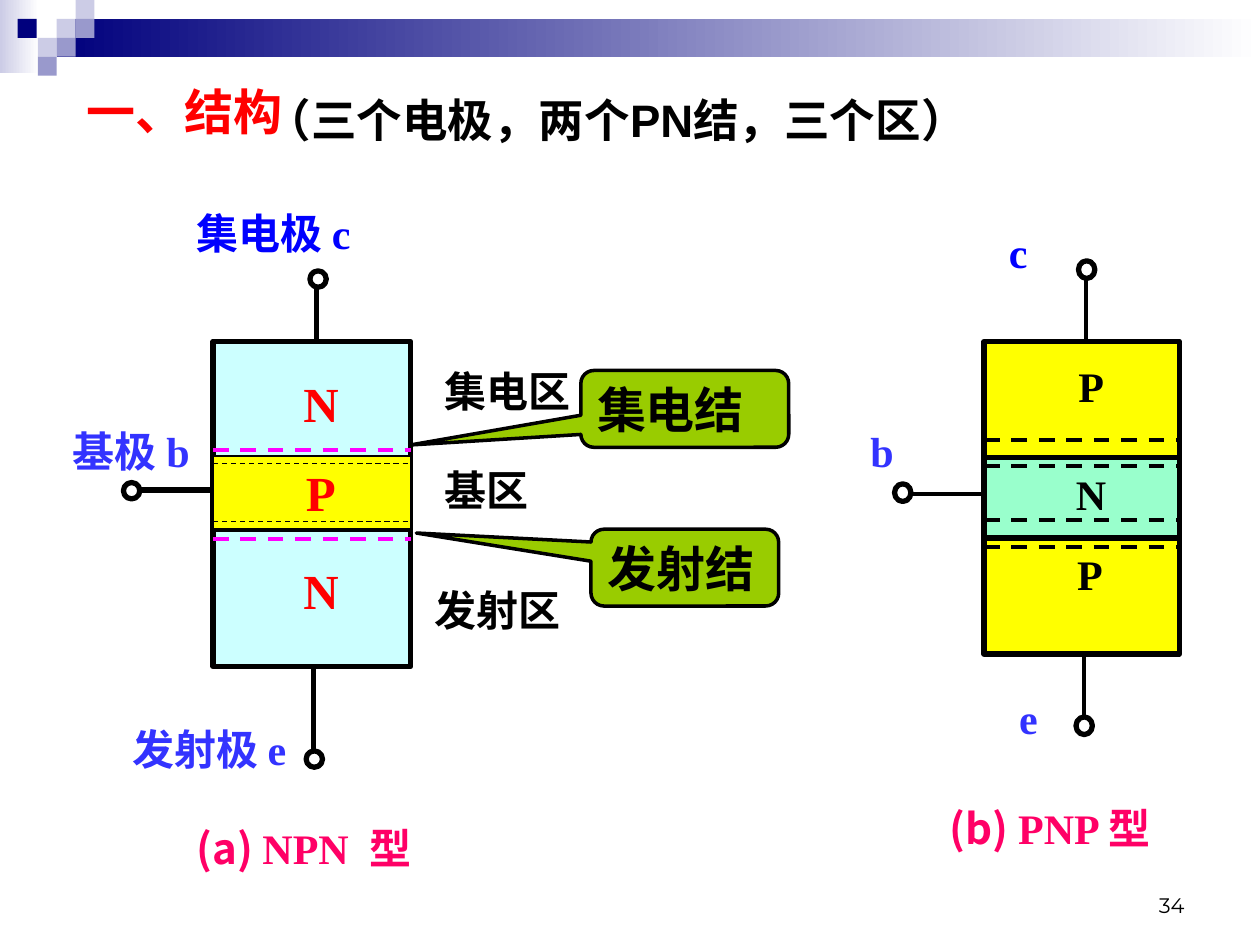
from dataclasses import dataclass
from typing import NamedTuple

from lxml import etree
from pptx import Presentation
from pptx import util as u
from pptx.dml.color import RGBColor
from pptx.enum import dml, shapes, text
from pptx.oxml.ns import qn

SHAPE = shapes.MSO_SHAPE
MIDDLE, TOP, BOTTOM = (text.MSO_ANCHOR.MIDDLE, text.MSO_ANCHOR.TOP,
                       text.MSO_ANCHOR.BOTTOM)


@dataclass(frozen=True)
class Theme:
    black: str = "000000"
    white: str = "FFFFFF"
    navy: str = "00007D"
    lilac: str = "CCCCE6"
    violet: str = "9999CC"
    red: str = "FF0000"
    blue: str = "0000FF"
    soft_blue: str = "3333FF"
    pink: str = "FF0066"
    magenta: str = "FF00FF"
    cyan: str = "CCFFFF"
    yellow: str = "FFFF00"
    mint: str = "99FFCC"
    green: str = "99CC00"
    serif: str = "Times New Roman"
    sans: str = "Arial"
    cjk: str = "Noto Sans CJK SC"
    number_font: str = "Montserrat"
    large: float = 28
    subtitle: float = 26
    body: float = 24
    small: float = 12
    thick: float = 3
    medium: float = 2.25
    thin: float = 0.75


T = Theme()


class Box(NamedTuple):
    x: float
    y: float
    w: float
    h: float


class Label(NamedTuple):
    words: str
    box: Box
    color: str = T.black
    size: float = T.body


class Line(NamedTuple):
    x1: float
    y1: float
    x2: float
    y2: float
    width: float = T.medium
    color: str = T.black
    dashed: bool = False


class Region(NamedTuple):
    box: Box
    fill: str
    width: float = T.thick


class Lead(NamedTuple):
    line: Line
    ring: Box


class Callout(NamedTuple):
    words: str
    box: Box
    tip: tuple


def inches(box: Box) -> list:
    return [u.Inches(v) for v in box]


def add_run(p, words: str, color: str, size: float, font: str = T.serif,
            bold: bool = True) -> None:
    r = p.add_run()
    r.text = words
    for name, value in dict(size=u.Pt(size), bold=bold, name=font).items():
        setattr(r.font, name, value)
    r.font.color.rgb = RGBColor.from_string(color)
    etree.SubElement(r.font._element, qn("a:ea")).set("typeface", T.cjk)


def set_frame(sp, anchor=MIDDLE, wrap: bool = True,
              align=text.PP_ALIGN.LEFT):
    tf = sp.text_frame
    fmt = dict(word_wrap=wrap, vertical_anchor=anchor,
               margin_left=u.Inches(0.1), margin_right=u.Inches(0.1),
               margin_top=u.Inches(0.05), margin_bottom=u.Inches(0.05))
    for name, value in fmt.items():
        setattr(tf, name, value)
    p = tf.paragraphs[0]
    p.alignment = align
    return p


def add_label(s, label: Label) -> None:
    sp = s.shapes.add_textbox(*inches(label.box))
    add_run(set_frame(sp), label.words, label.color, label.size)


def add_block(s, kind, box: Box, fill: str, width: float = 0):
    sp = s.shapes.add_shape(kind, *inches(box))
    sp.shadow.inherit = False
    sp.fill.solid()
    sp.fill.fore_color.rgb = RGBColor.from_string(fill)
    if width:
        sp.line.color.rgb = RGBColor.from_string(T.black)
        sp.line.width = u.Pt(width)
    else:
        sp.line.fill.background()
    return sp


def add_gradient(s, box: Box, start: str) -> None:
    sp = add_block(s, SHAPE.RECTANGLE, box, start)
    sp.fill.gradient()
    sp.fill.gradient_angle = 0
    for stop, color, at in zip(sp.fill.gradient_stops, (start, T.white), (0, 1)):
        stop.color.rgb = RGBColor.from_string(color)
        stop.position = at


def add_line(s, line: Line) -> None:
    ends = [u.Inches(v) for v in line[:4]]
    sp = s.shapes.add_connector(shapes.MSO_CONNECTOR.STRAIGHT, *ends)
    sp.line.color.rgb = RGBColor.from_string(line.color)
    sp.line.width = u.Pt(line.width)
    if line.dashed:
        sp.line.dash_style = dml.MSO_LINE.DASH
    etree.SubElement(sp._element.spPr, qn("a:effectLst"))


def add_transistor(s, regions: list, lines: list, leads: list) -> None:
    for region in regions:
        add_block(s, SHAPE.RECTANGLE, *region)
    for line in lines:
        add_line(s, line)
    for lead in leads:
        add_line(s, lead.line)
        add_block(s, SHAPE.OVAL, lead.ring, T.white, T.thick)


def add_callout(s, c: Callout) -> None:
    sp = add_block(s, SHAPE.ROUNDED_RECTANGULAR_CALLOUT, c.box, T.green, 2)
    for i, value in enumerate((*c.tip, 0.17)):
        sp.adjustments[i] = value
    add_run(set_frame(sp), c.words, T.black, T.large)


def add_header(s) -> None:
    add_gradient(s, Box(0, 0, 0.31, 0.58), T.lilac)
    add_gradient(s, Box(0.45, 0.15, 9.55, 0.3), T.navy)
    tiles = [(0.45, 0.15, T.lilac), (0.6, 0, T.lilac), (0.6, 0.15, T.violet),
             (0.3, 0.3, T.lilac), (0.14, 0.15, T.navy), (0.45, 0.3, T.violet),
             (0.3, 0.45, T.violet)]
    for x, y, color in tiles:
        add_block(s, SHAPE.RECTANGLE, Box(x, y, 0.15, 0.15), color)


def add_npn(s) -> None:
    x, right = 1.69, 3.26
    regions = [Region(Box(x, 2.71, 1.57, 2.58), T.cyan),
               Region(Box(x, 3.62, 1.57, 0.58), T.yellow, T.thin)]
    lines = [Line(x, 4.21, right, 4.21)]
    lines += [Line(x, y, right, y, T.medium, T.magenta, True) for y in (3.57, 4.28)]
    lines += [Line(x, y, right, y, T.thin, T.black, True) for y in (3.68, 4.14)]
    leads = [Lead(Line(2.51, 2.7, 2.51, 2.25, T.thick), Box(2.46, 2.15, 0.13, 0.13)),
             Lead(Line(2.49, 5.3, 2.49, 5.96, T.thick), Box(2.43, 5.96, 0.13, 0.13)),
             Lead(Line(x, 3.89, 1.11, 3.89, T.thick), Box(0.98, 3.83, 0.13, 0.13))]
    add_transistor(s, regions, lines, leads)


def add_pnp(s) -> None:
    x, right = 7.81, 9.36
    regions = [Region(Box(x, 2.71, 1.55, 0.92), T.yellow),
               Region(Box(x, 4.27, 1.55, 0.92), T.yellow),
               Region(Box(x, 3.63, 1.55, 0.64), T.mint)]
    lines = [Line(x, y, right, y, dashed=True) for y in (3.49, 3.7, 4.13, 4.34)]
    leads = [Lead(Line(8.62, 2.71, 8.62, 2.14), Box(8.56, 2.07, 0.13, 0.14)),
             Lead(Line(8.6, 5.19, 8.6, 5.79), Box(8.54, 5.69, 0.13, 0.14)),
             Lead(Line(x, 3.92, 7.22, 3.92), Box(7.1, 3.84, 0.13, 0.14))]
    add_transistor(s, regions, lines, leads)


LABELS = [
    # Electrodes
    Label("集电极 c", Box(1.46, 1.6, 1.75, 0.5), T.blue),
    Label("基极 b", Box(0.48, 3.33, 1.29, 0.5), T.soft_blue),
    Label("发射极 e", Box(0.95, 5.69, 1.56, 0.5), T.soft_blue),
    Label("c", Box(7.91, 1.75, 0.63, 0.5), T.blue),
    Label("b", Box(6.81, 3.33, 0.47, 0.5), T.soft_blue),
    Label("e", Box(7.99, 5.45, 0.41, 0.5), T.soft_blue),
    # Semiconductor types
    Label("N", Box(2.31, 2.91, 0.58, 0.57), T.red, T.large),
    Label("P", Box(2.33, 3.62, 0.52, 0.57), T.red, T.large),
    Label("N", Box(2.31, 4.4, 0.53, 0.57), T.red, T.large),
    Label("P", Box(8.46, 2.81, 0.46, 0.5)),
    Label("N", Box(8.44, 3.67, 0.44, 0.5)),
    Label("P", Box(8.45, 4.3, 0.46, 0.5)),
    # Region names
    Label("集电区", Box(3.43, 2.85, 1.25, 0.5)),
    Label("基区", Box(3.43, 3.64, 0.95, 0.5)),
    Label("发射区", Box(3.35, 4.59, 1.25, 0.5)),
]
CALLOUTS = [Callout("集电结", Box(4.61, 2.94, 1.65, 0.61), (-1.32, 0.47)),
            Callout("发射结", Box(4.69, 4.2, 1.49, 0.61), (-1.43, -0.45))]
CAPTIONS = [
    (Box(1.46, 6.48, 2.2, 0.5), [("(a) ", T.cjk), ("NPN  型", T.serif)]),
    (Box(7.44, 6.32, 2.05, 0.5),
     [("(b) ", T.cjk), ("PNP ", T.serif), ("型", T.cjk)]),
]


def main() -> None:
    prs = Presentation()
    prs.slide_width, prs.slide_height = u.Inches(10), u.Inches(7.5)
    s = prs.slides.add_slide(prs.slide_layouts[5])
    add_header(s)

    # Title and subtitle
    title = s.shapes.title
    for name, value in zip(("left", "top", "width", "height"),
                           inches(Box(0.59, 0.6, 2.17, 0.57))):
        setattr(title, name, value)
    add_run(set_frame(title, TOP), "一、结构", T.red, T.large)
    sp = s.shapes.add_textbox(*inches(Box(2.01, 0.68, 5.94, 0.54)))
    add_run(set_frame(sp, TOP, False), "（三个电极，两个PN结，三个区）",
            T.black, T.subtitle, T.sans)

    # Transistors with their labels
    add_npn(s)
    add_pnp(s)
    for label in LABELS:
        add_label(s, label)
    for callout in CALLOUTS:
        add_callout(s, callout)
    for box, runs in CAPTIONS:
        p = set_frame(s.shapes.add_textbox(*inches(box)), TOP)
        for words, font in runs:
            add_run(p, words, T.pink, T.body, font)

    # Page number
    sp = s.shapes.add_textbox(*inches(Box(7.17, 6.83, 2.33, 0.5)))
    p = set_frame(sp, BOTTOM, align=text.PP_ALIGN.RIGHT)
    add_run(p, "34", T.black, T.small, T.number_font, False)
    prs.save("out.pptx")


if __name__ == "__main__":
    main()
